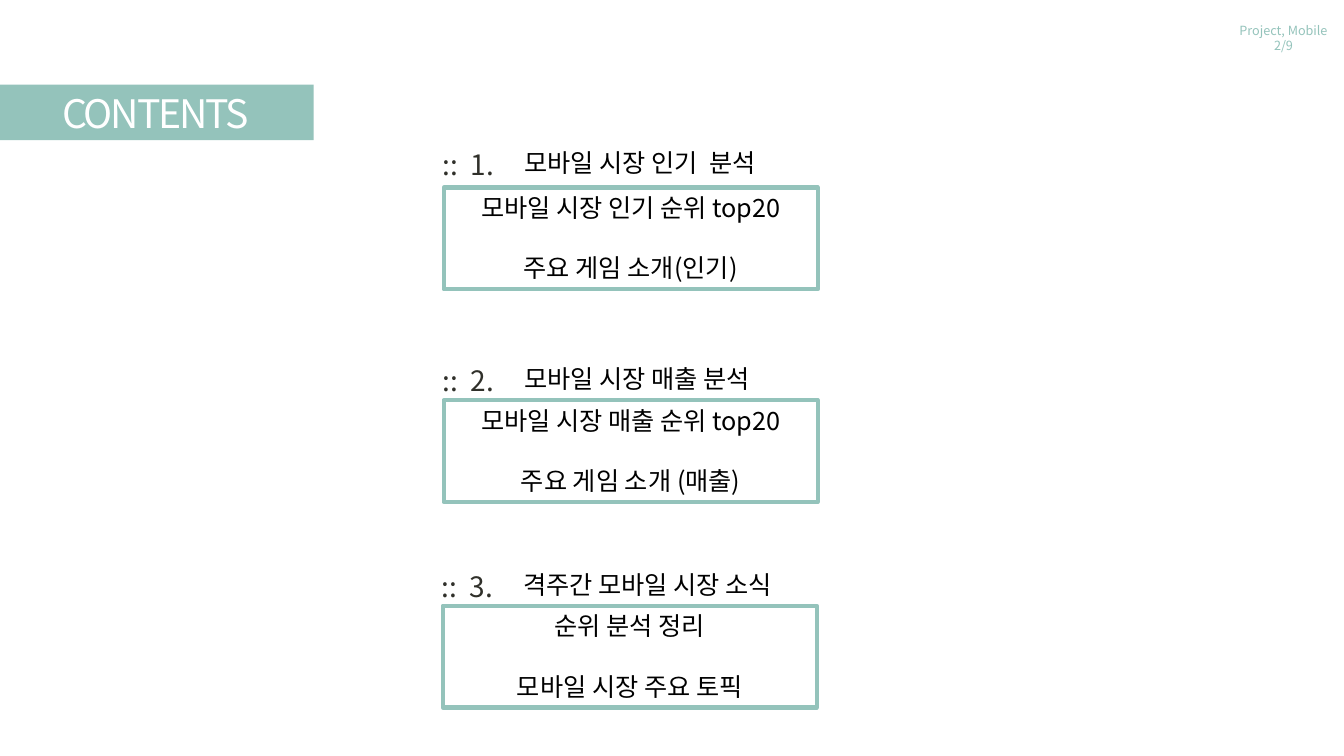
from pptx import Presentation
from pptx.dml.color import RGBColor
from pptx.enum.shapes import MSO_SHAPE
from pptx.enum.text import MSO_ANCHOR, PP_ALIGN
from pptx.util import Inches, Pt

FONT = "Noto Sans CJK KR"
MINT = RGBColor(0x94, 0xC3, 0xBB)
CHARCOAL = RGBColor(0x30, 0x30, 0x2A)
BLACK = RGBColor(0, 0, 0)
WHITE = RGBColor(0xFF, 0xFF, 0xFF)

# left, top, gap from heading to frame, heading, topics
SECTIONS = [
    (4.4, 1.41, 0.45, "모바일 시장 인기  분석",
     ["모바일 시장 인기 순위 top20", "주요 게임 소개(인기)"]),
    (4.4, 3.56, 0.41, "모바일 시장 매출 분석",
     ["모바일 시장 매출 순위 top20", "주요 게임 소개 (매출)"]),
    (4.39, 5.6, 0.41, "격주간 모바일 시장 소식",
     ["순위 분석 정리", "모바일 시장 주요 토픽"]),
]


def write(tf, lines, size, color, align=PP_ALIGN.LEFT, gap=0):
    """Fill a text frame with one paragraph per line, gap points apart."""
    tf.text = "\n".join(lines)
    for i, p in enumerate(tf.paragraphs):
        p.alignment = align
        if i and gap:
            p.space_before = Pt(gap)
        for r in p.runs:
            r.font.name = FONT
            r.font.size = Pt(size)
            r.font.color.rgb = color


def add_label(s, x, y, w, h, lines, size, color, align=PP_ALIGN.LEFT, wrap=True):
    tf = s.shapes.add_textbox(Inches(x), Inches(y), Inches(w), Inches(h)).text_frame
    tf.word_wrap = wrap
    write(tf, lines, size, color, align)
    return tf


def add_rect(s, x, y, w, h):
    sp = s.shapes.add_shape(MSO_SHAPE.RECTANGLE, Inches(x), Inches(y), Inches(w), Inches(h))
    sp.shadow.inherit = False
    return sp


def add_title(s, x, y, w, h):
    band = add_rect(s, x, y, w, h)
    band.fill.solid()
    band.fill.fore_color.rgb = MINT
    band.line.fill.background()
    tf = add_label(s, x + 0.52, y, 2.1, 0.57, ["CONTENTS"], 28, WHITE, wrap=False)
    tf.paragraphs[0].runs[0].font._element.set("spc", "-150")


def add_section(s, x, y, gap, number, heading, topics):
    frame = add_rect(s, x, y + gap, 3.71, 1.01)
    frame.fill.background()
    frame.line.color.rgb = MINT
    frame.line.width = Pt(3)
    tf = frame.text_frame
    tf.word_wrap = True
    tf.vertical_anchor = MSO_ANCHOR.TOP
    write(tf, topics, 18, BLACK, PP_ALIGN.CENTER, gap=21.5)
    add_label(s, x - 0.11, y, 0.89, 0.44, [f"::  {number}."], 20, CHARCOAL, wrap=False)
    add_label(s, x + 0.7, y, 3.32, 0.4, [heading], 18, BLACK)


def main():
    prs = Presentation()
    prs.slide_width, prs.slide_height = Inches(13.33), Inches(7.5)
    s = prs.slides.add_slide(prs.slide_layouts[6])
    add_label(s, 12.16, 0.18, 1.14, 0.4, ["Project, Mobile", "2/9"], 9, MINT, PP_ALIGN.CENTER)
    add_title(s, 0, 0.84, 3.11, 0.55)
    for number, (x, y, gap, heading, topics) in enumerate(SECTIONS, 1):
        add_section(s, x, y, gap, number, heading, topics)
    prs.save("out.pptx")


if __name__ == "__main__":
    main()
